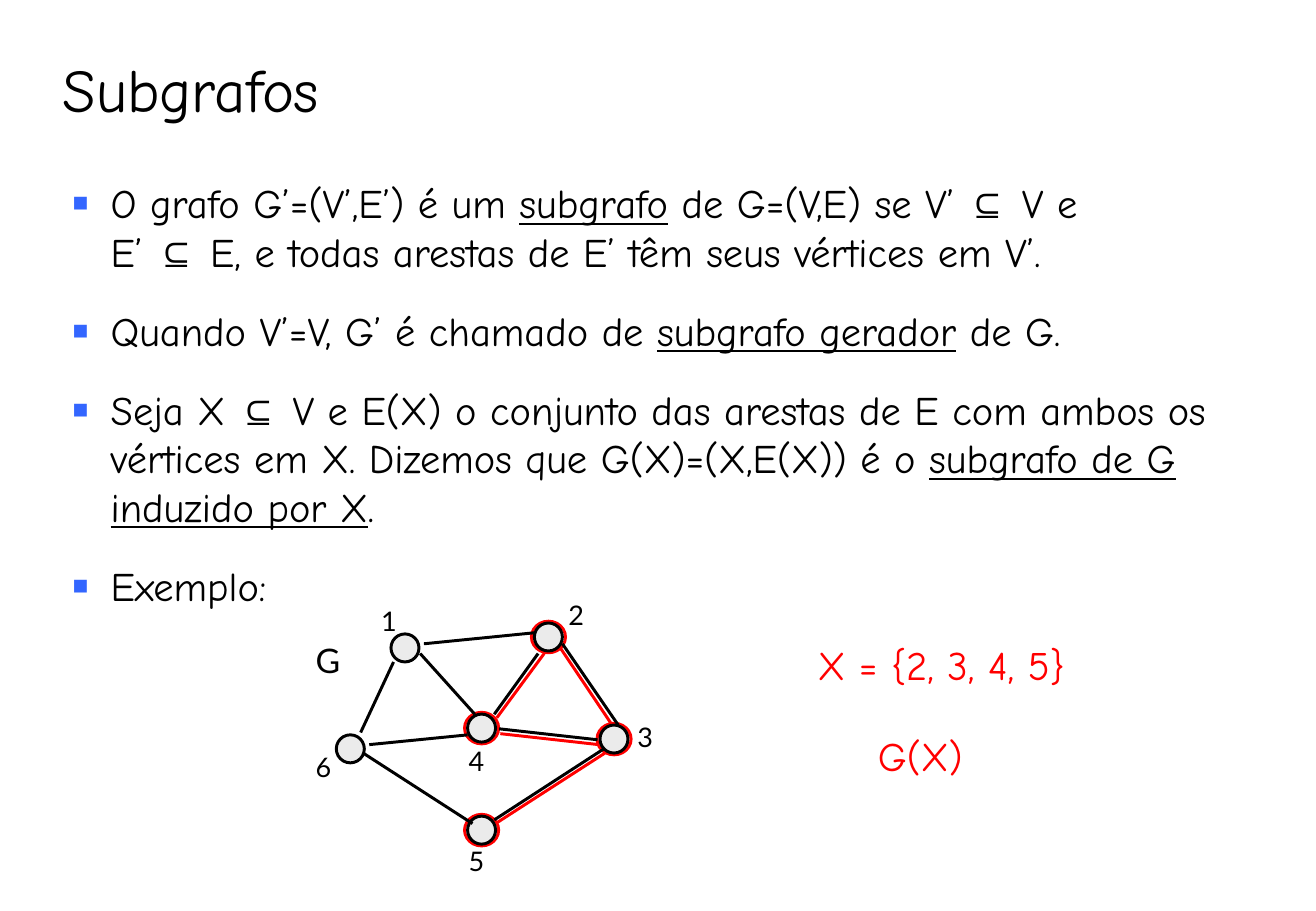
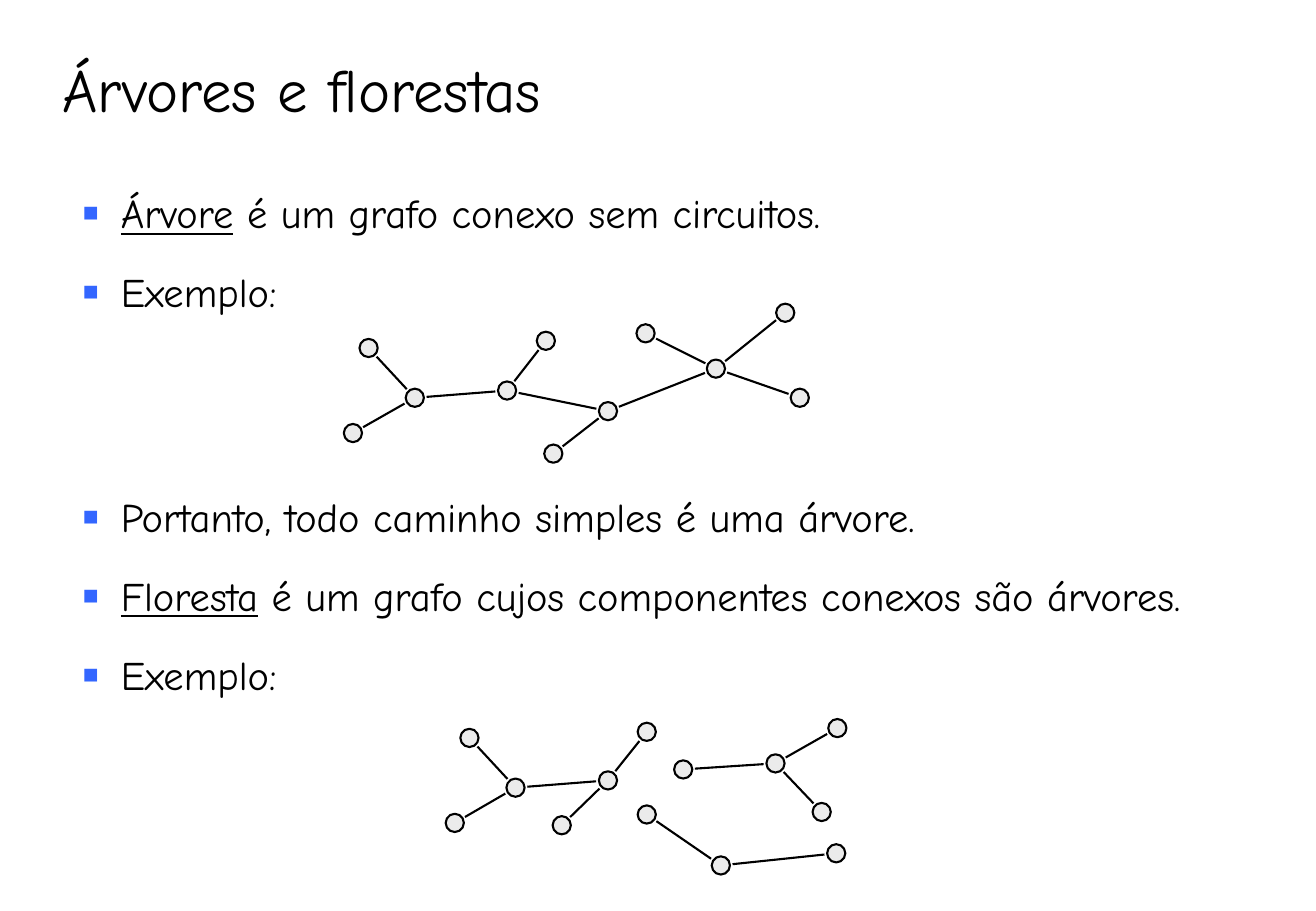
from itertools import groupby
from math import hypot

from lxml.etree import SubElement
from pptx import Presentation
from pptx.dml.color import RGBColor
from pptx.enum.shapes import MSO_CONNECTOR, MSO_SHAPE
from pptx.enum.text import MSO_ANCHOR, MSO_AUTO_SIZE, PP_ALIGN
from pptx.oxml.ns import qn
from pptx.util import Pt

COLORS = {"ink": "000000", "subgraph": "FF0000", "node": "EBEBEB", "bullet": "3366FF"}
TEXT_FONT, LABEL_FONT, SYMBOL_FONT = "Comic Neue", "Lato", "Arial"
SUBSET = "⊆"


def rgb(name):
    return RGBColor.from_string(COLORS[name])


def write(paragraph, text, *, size=24, font=TEXT_FONT, color="ink", align=PP_ALIGN.LEFT):
    """Add text; _underscores_ underline, and the subset sign gets its own font."""
    paragraph.alignment = align
    for line_no, line in enumerate(text.split("\n")):
        if line_no:
            paragraph.add_line_break()
        for part_no, part in enumerate(line.split("_")):
            for is_symbol, letters in groupby(part, lambda letter: letter == SUBSET):
                run = paragraph.add_run()
                run.text = "".join(letters)
                run.font.name = SYMBOL_FONT if is_symbol else font
                run.font.size = Pt(size)
                run.font.color.rgb = rgb(color)
                run.font.underline = part_no % 2 == 1


class Deck:
    """Holds the presentation, its style and the slide being built."""

    def __init__(self):
        self.prs = Presentation()
        self.prs.slide_width, self.prs.slide_height = Pt(780.12), Pt(540)
        self.slide = None

    def new_slide(self, heading):
        self.slide = self.prs.slides.add_slide(self.prs.slide_layouts[5])
        title = self.slide.shapes.title
        title.left, title.top, title.width, title.height = Pt(30), Pt(18), Pt(702), Pt(60)
        frame = title.text_frame
        frame.auto_size = MSO_AUTO_SIZE.NONE
        frame.vertical_anchor = MSO_ANCHOR.BOTTOM
        frame.paragraphs[0].line_spacing = 0.9
        write(frame.paragraphs[0], heading, size=36)

    def frame(self, left, top, width, height):
        box = self.slide.shapes.add_textbox(Pt(left), Pt(top), Pt(width), Pt(height))
        box.text_frame.word_wrap = True
        return box.text_frame

    def label(self, text, left, top, width, height, **fmt):
        write(self.frame(left, top, width, height).paragraphs[0], text, **fmt)

    def bullets(self, items, left, top, width, height):
        frame = self.frame(left, top, width, height)
        for number, item in enumerate(items):
            paragraph = frame.add_paragraph() if number else frame.paragraphs[0]
            paragraph.space_before = paragraph.space_after = Pt(9)
            props = paragraph._p.get_or_add_pPr()
            props.set("marL", str(Pt(22.5)))
            props.set("indent", str(-Pt(22.5)))
            color = SubElement(props, qn("a:buClr"))
            SubElement(color, qn("a:srgbClr"), val=COLORS["bullet"])
            SubElement(props, qn("a:buSzPct"), val="65000")
            SubElement(props, qn("a:buFont"), typeface=SYMBOL_FONT)
            SubElement(props, qn("a:buChar"), char="■")
            write(paragraph, item)

    def node(self, center, width, height, weight, line="ink", fill="node"):
        x, y = center
        oval = self.slide.shapes.add_shape(
            MSO_SHAPE.OVAL, Pt(x - width / 2), Pt(y - height / 2), Pt(width), Pt(height))
        oval.shadow.inherit = False
        if fill:
            oval.fill.solid()
            oval.fill.fore_color.rgb = rgb(fill)
        else:
            oval.fill.background()
        oval.line.color.rgb = rgb(line)
        oval.line.width = Pt(weight)

    def edge(self, x1, y1, x2, y2, weight, line="ink"):
        link = self.slide.shapes.add_connector(
            MSO_CONNECTOR.STRAIGHT, Pt(x1), Pt(y1), Pt(x2), Pt(y2))
        link.line.color.rgb = rgb(line)
        link.line.width = Pt(weight)
        SubElement(link._element.spPr, qn("a:effectLst"))

    def forest(self, nodes, edges, gap=7):
        """Draw small nodes, joined by edges that stop short of the centres."""
        for center in nodes.values():
            self.node(center, 10.8, 10.8, 1.25)
        for start, end in edges.split():
            (x1, y1), (x2, y2) = nodes[start], nodes[end]
            length = hypot(x2 - x1, y2 - y1)
            dx, dy = gap * (x2 - x1) / length, gap * (y2 - y1) / length
            self.edge(x1 + dx, y1 + dy, x2 - dx, y2 - dy, 1.25)


def subgraphs(deck):
    deck.new_slide("Subgrafos")

    # Induced subgraph
    centered = {"color": "subgraph", "align": PP_ALIGN.CENTER}
    deck.label("G(X)", 509.8, 429.8, 71.3, 36, **centered)
    deck.label("X = {2, 3, 4, 5}", 450, 375.8, 216, 36, **centered)

    # Vertex: centre, then the corner of its label
    vertices = {
        "1": ((240.1, 384.1), (218.9, 355)),
        "2": ((325.1, 377.6), (329.8, 351.4)),
        "3": ((364, 438.1), (370.8, 423.4)),
        "4": ((285.5, 431.6), (270.7, 437.8)),
        "5": ((285.5, 492.1), (270.7, 496.8)),
        "6": ((207.7, 443.9), (180, 441.4)),
    }
    induced_edges = [
        (293.8, 488.2, 358.6, 446.4), (296.6, 434.9, 355, 441.4),
        (294.5, 425.5, 322.6, 387.4), (330.5, 381.6, 362.9, 429.8),
    ]
    graph_edges = [
        (293, 486, 358.6, 443.5), (215.3, 446.4, 280.1, 488.2),
        (218.9, 441.4, 277.2, 435.6), (295.9, 432, 354.2, 438.5),
        (249.1, 387.4, 281.5, 423.4), (293, 423.4, 319, 387.4),
        (333.4, 381.6, 366.5, 429.8), (251.3, 381.6, 316.8, 375.1),
        (233.3, 392.4, 213.8, 434.2),
    ]
    for ends in induced_edges:
        deck.edge(*ends, 1.75, "subgraph")
    for name in "2345":
        deck.node(vertices[name][0], 20.2, 18.7, 1.75, "subgraph", None)
    for center, _ in vertices.values():
        deck.node(center, 16.6, 16.6, 1.75)
    for ends in graph_edges:
        deck.edge(*ends, 1.75)
    deck.label("G", 180, 375.8, 32.4, 31.7, size=20, font=LABEL_FONT)
    for name, (_, corner) in vertices.items():
        deck.label(name, *corner, 26, 26.6, size=16, font=LABEL_FONT)

    # Definitions
    deck.bullets([
        "O grafo G’=(V’,E’) é um _subgrafo_ de G=(V,E) se V’ ⊆ V e \n"
        "E’ ⊆ E, e todas arestas de E’ têm seus vértices em V’.",
        "Quando V’=V, G’ é chamado de _subgrafo gerador_ de G.",
        "Seja X ⊆ V e E(X) o conjunto das arestas de E com ambos os vértices em X. "
        "Dizemos que G(X)=(X,E(X)) é o _subgrafo de G induzido por X_.",
        "Exemplo:",
    ], 36, 102, 708, 222)


def trees_and_forests(deck):
    deck.new_slide("Árvores e florestas")

    # Example of a tree
    deck.forest({
        "a": (218.5, 206.3), "b": (209.2, 256.7), "c": (245.9, 235.8),
        "d": (300.6, 231.5), "e": (323.6, 202), "f": (360.4, 243.7),
        "g": (328, 268.9), "h": (382.7, 197.6), "i": (424.4, 218.5),
        "j": (465.5, 185.4), "k": (474.1, 235.8),
    }, "ac bc cd de df fg fi hi ij ik")

    # Example of a forest with three trees
    deck.forest({
        "a": (278.3, 437.4), "b": (269.6, 487.8), "c": (305.6, 466.9),
        "d": (360.4, 462.6), "e": (383.4, 433.8), "f": (333, 489.2),
        "g": (383.4, 482.8), "h": (427.3, 513), "i": (495.7, 505.8),
        "j": (405, 456.1), "k": (459.7, 452.5), "l": (496.4, 431.6),
        "m": (487.1, 481.3),
    }, "ac bc cd de df gh hi jk kl km")

    # Definitions
    deck.bullets(["_Árvore_ é um grafo conexo sem circuitos.", "Exemplo:"],
                 42, 108, 702, 90)
    deck.bullets([
        "Portanto, todo caminho simples é uma árvore.",
        "_Floresta_ é um grafo cujos componentes conexos são árvores.",
        "Exemplo:",
    ], 42, 288, 702, 162)


def main():
    deck = Deck()
    subgraphs(deck)
    trees_and_forests(deck)
    deck.prs.save("out.pptx")


if __name__ == "__main__":
    main()
